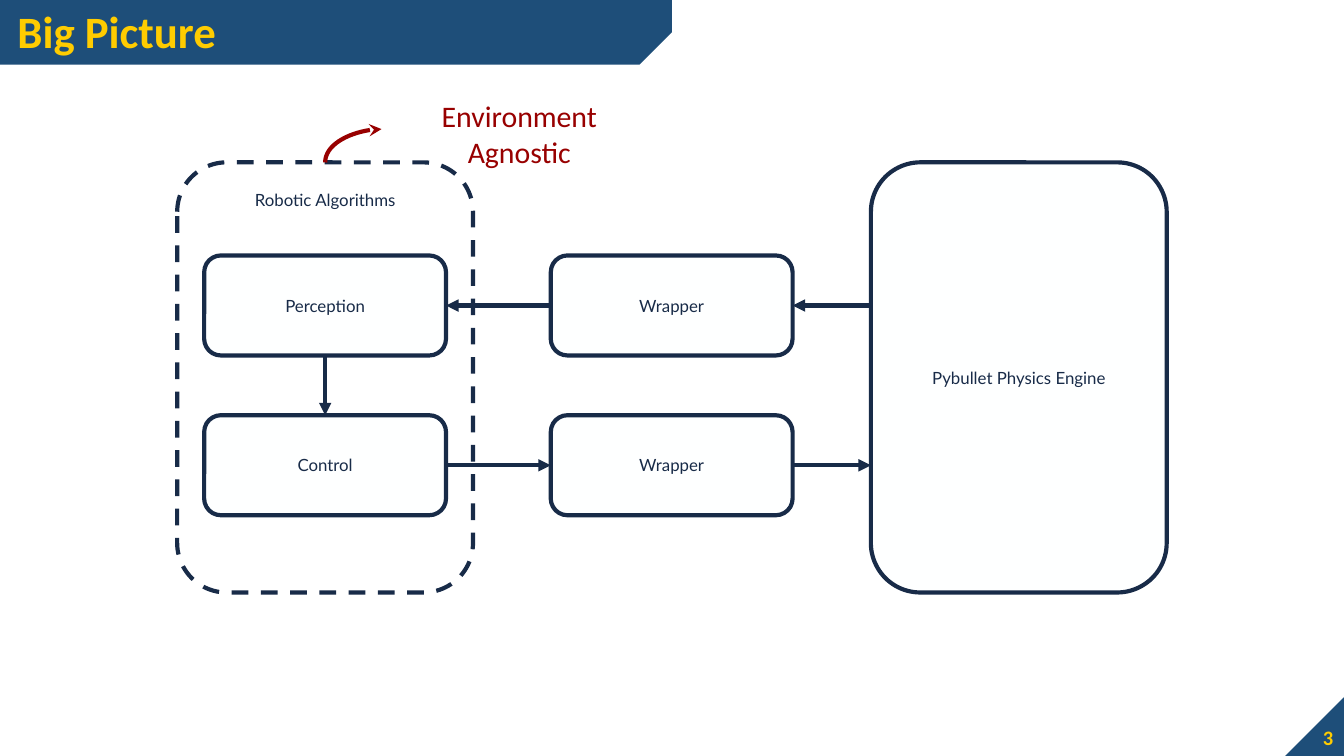
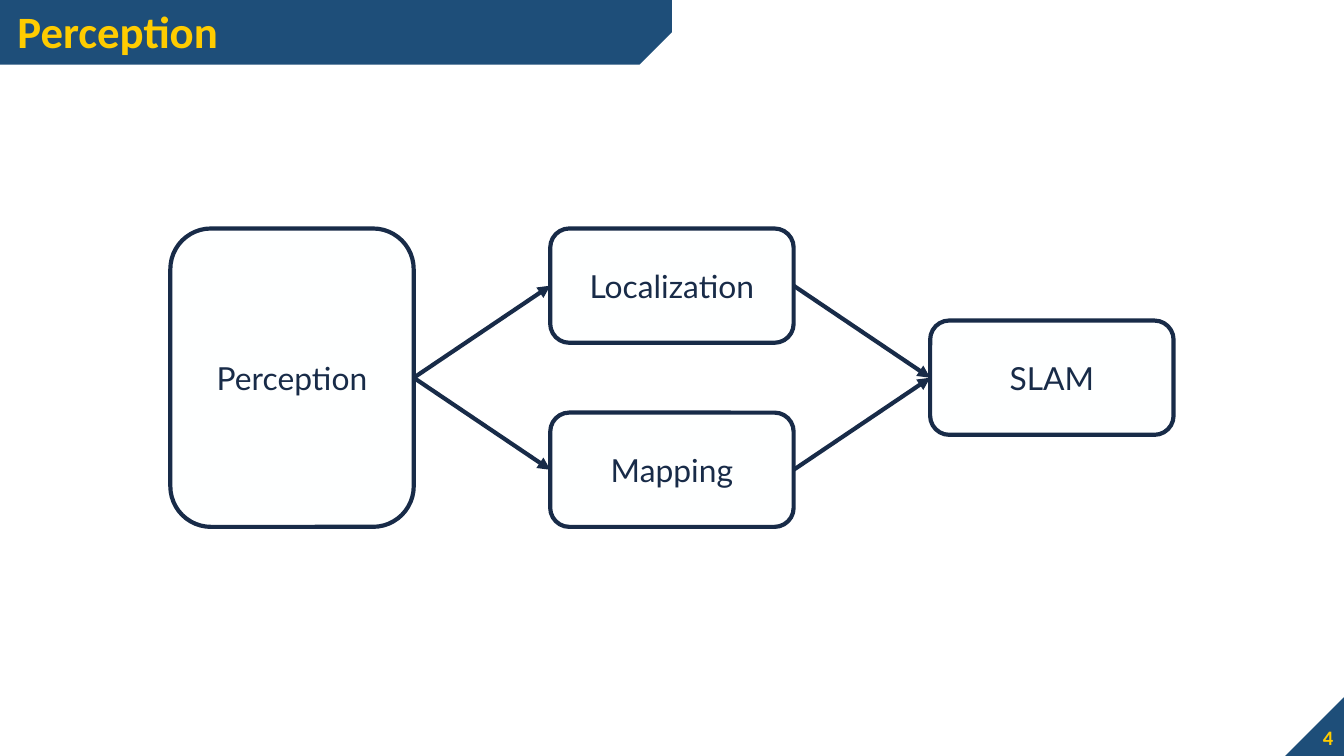
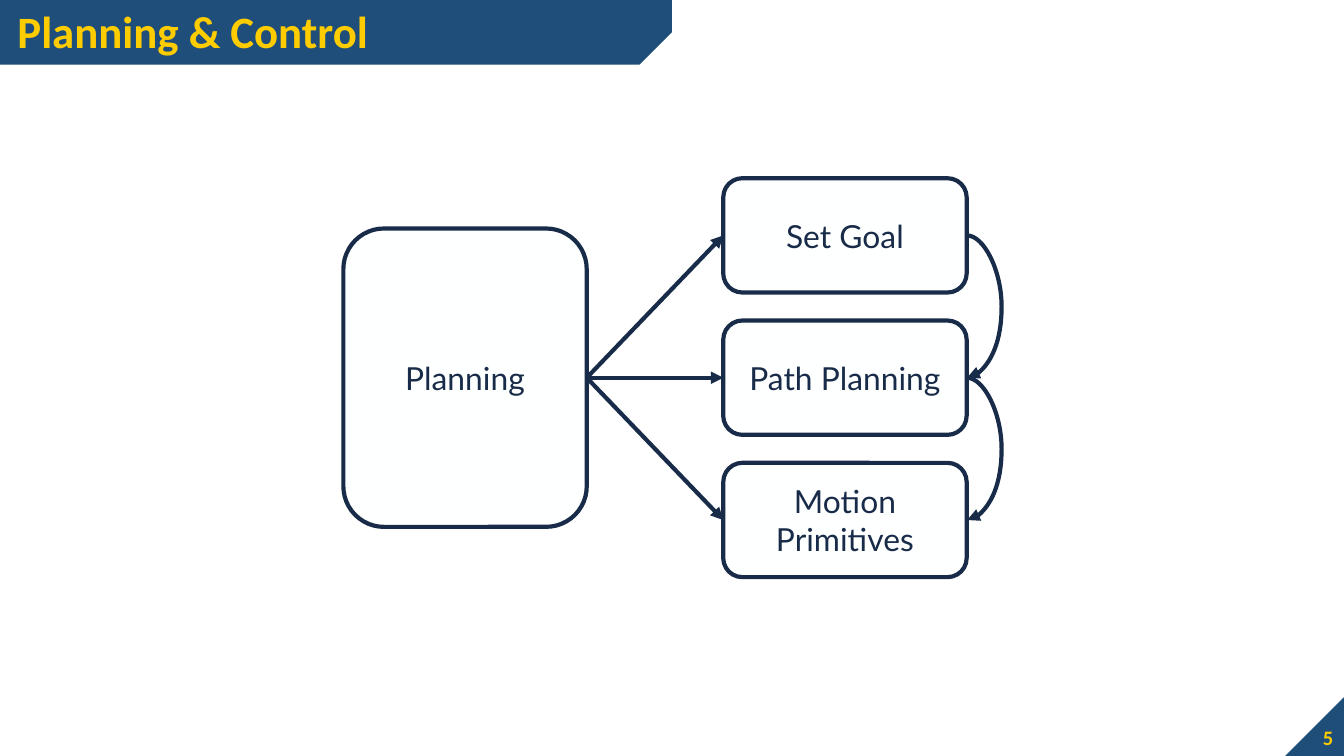
from lxml import etree
from pptx import Presentation
from pptx.dml.color import RGBColor
from pptx.enum.dml import MSO_LINE
from pptx.enum.shapes import MSO_CONNECTOR, MSO_SHAPE
from pptx.enum.text import MSO_ANCHOR, MSO_AUTO_SIZE, PP_ALIGN
from pptx.oxml.ns import qn
from pptx.util import Cm, Pt

ROUND = MSO_SHAPE.ROUNDED_RECTANGLE
SNIP = MSO_SHAPE.SNIP_1_RECTANGLE
WEDGE = MSO_SHAPE.RIGHT_TRIANGLE
STRAIGHT = MSO_CONNECTOR.STRAIGHT
CURVE = MSO_CONNECTOR.CURVE
DASH = MSO_LINE.DASH
TOP = MSO_ANCHOR.TOP
MIDDLE = MSO_ANCHOR.MIDDLE
LEFT = PP_ALIGN.LEFT
CENTER = PP_ALIGN.CENTER
RIGHT = PP_ALIGN.RIGHT
FIXED = MSO_AUTO_SIZE.NONE

NAVY = "182B48"
BLUE = "1E4E79"
GOLD = "FFCC00"
RED = "980000"
PALE = "FEFFFF"
WHITE = "FFFFFF"
BODY = "Lato"
HEAD = "Calibri"

NORTH, WEST, SOUTH, EAST = range(4)
SPOTS = {NORTH: (0.5, 0), WEST: (0, 0.5), SOUTH: (0.5, 1), EAST: (1, 0.5)}

BIG_W, BIG_H = 4.6, 5.64
BOX_H = 2.16
STEP = 7.18
BIG_TOP = 4.32
MID_TOP = 6.06


def color(code):
    return RGBColor.from_string(code)


def write(shape, text, size, font, ink, align, anchor, pad, bold=False):
    frame = shape.text_frame
    frame.word_wrap = True
    frame.auto_size = FIXED
    frame.vertical_anchor = anchor
    frame.margin_left = frame.margin_right = Cm(pad[0])
    frame.margin_top = frame.margin_bottom = Cm(pad[1])
    para = frame.paragraphs[0]
    para.alignment = align
    run = para.add_run()
    run.text = text
    run.font.size = Pt(size)
    run.font.name = font
    run.font.bold = bold
    run.font.color.rgb = color(ink)
    return para


def patch(slide, kind, x, y, w, h, turn):
    shape = slide.shapes.add_shape(kind, Cm(x), Cm(y), Cm(w), Cm(h))
    shape.shadow.inherit = False
    shape.rotation = turn
    shape.fill.solid()
    shape.fill.fore_color.rgb = color(BLUE)
    shape.line.fill.background()
    return shape


def label(slide, x, y, w, h, *style):
    box = slide.shapes.add_textbox(Cm(x), Cm(y), Cm(w), Cm(h))
    write(box, *style)
    return box


def start(deck, name, page):
    slide = deck.slides.add_slide(deck.slide_layouts[5])
    title = slide.shapes.title
    band = patch(slide, SNIP, 0, 0, 12.7, 1.22, 180)
    band.adjustments[0] = 0.5
    band._element.spPr.xfrm.flipH = True
    title._element.addprevious(band._element)
    title.left, title.top = Cm(0.15), Cm(0.15)
    title.width, title.height = Cm(11.94), Cm(0.97)
    pad = (0.18, 0.1)
    para = write(title, name, 24, HEAD, GOLD, LEFT, MIDDLE, pad, True)
    para.line_spacing = 0.9
    patch(slide, WEDGE, 24.26, 13.18, 1.14, 1.14, 270)
    label(slide, 24.54, 13.54, 0.84, 0.79,
          str(page), 11, HEAD, GOLD, RIGHT, MIDDLE, pad, True)
    return slide


def node(slide, text, x, y, w, h, size=17, fill=PALE, anchor=MIDDLE):
    box = slide.shapes.add_shape(ROUND, Cm(x), Cm(y), Cm(w), Cm(h))
    box.shadow.inherit = False
    box.adjustments[0] = 0.167
    box.fill.solid()
    box.fill.fore_color.rgb = color(fill)
    box.line.color.rgb = color(NAVY)
    box.line.width = Pt(2.25)
    write(box, text, size, BODY, NAVY, CENTER, anchor, (0.25, 0.25))
    return box


def wire(slide, x1, y1, x2, y2, kind=STRAIGHT, ink=NAVY, tip="triangle"):
    line = slide.shapes.add_connector(kind, x1, y1, x2, y2)
    line.line.color.rgb = color(ink)
    line.line.width = Pt(2.25)
    tail = etree.SubElement(line.line._get_or_add_ln(), qn("a:tailEnd"))
    tail.set("type", tip)
    etree.SubElement(line._element.spPr, qn("a:effectLst"))
    return line


def spot(box, side):
    fx, fy = SPOTS[side]
    return int(box.left + box.width * fx), int(box.top + box.height * fy)


def link(slide, src, out, dest, side, **style):
    line = wire(slide, *spot(src, out), *spot(dest, side), **style)
    line.begin_connect(src, out)
    line.end_connect(dest, side)
    return line


def loop(slide, src, dest):
    line = link(slide, src, EAST, dest, EAST, kind=CURVE)
    line.width = Cm(0.01)
    geom = line._element.spPr.find(qn("a:prstGeom"))
    guide = etree.SubElement(geom.get_or_add_avLst(), qn("a:gd"))
    guide.set("name", "adj1")
    guide.set("fmla", "val 6600000")


def swing(slide, src, dest):
    line = link(slide, src, NORTH, dest, WEST,
                kind=CURVE, ink=RED, tip="stealth")
    x, y, w, h = line.left, line.top, line.width, line.height
    line.left, line.top = x + (w - h) // 2, y + (h - w) // 2
    line.width, line.height = h, w
    frame = line._element.spPr.xfrm
    frame.flipV = False
    frame.rot = 270
    geom = line._element.spPr.find(qn("a:prstGeom"))
    geom.set("prst", "curvedConnector2")


def scheme(deck):
    slide = start(deck, "Big Picture", 3)
    tall = (3.07, 5.59, 8.13)
    engine = node(slide, "Pybullet Physics Engine", 16.46, *tall, 9)
    robot = node(slide, "Robotic Algorithms", 3.35, *tall, 9, WHITE, TOP)
    robot.line.dash_style = DASH
    sense, steer, inlet, outlet = [
        node(slide, text, x, y, 4.57, 1.89, 9)
        for text, x, y in (("Perception", 3.86, 4.83),
                           ("Control", 3.86, 7.85),
                           ("Wrapper", 10.41, 4.83),
                           ("Wrapper", 10.41, 7.85))]
    link(slide, steer, EAST, outlet, WEST)
    x, y = spot(outlet, EAST)
    wire(slide, x, y, engine.left, y).begin_connect(outlet, EAST)
    x, y = spot(inlet, EAST)
    wire(slide, engine.left, y, x, y).end_connect(inlet, EAST)
    link(slide, inlet, WEST, sense, EAST)
    link(slide, sense, SOUTH, steer, NORTH)
    note = label(slide, 7.21, 1.6, 5.21, 1.68, "Environment Agnostic",
                 16, HEAD, RED, CENTER, TOP, (0.25, 0.25))
    swing(slide, robot, note)


def sensing(deck):
    slide = start(deck, "Perception", 4)
    x = 3.22
    root = node(slide, "Perception", x, BIG_TOP, BIG_W, BIG_H)
    low = BIG_TOP + BIG_H - BOX_H
    parts = [node(slide, text, x + STEP, y, BIG_W, BOX_H)
             for text, y in (("Localization", BIG_TOP), ("Mapping", low))]
    goal = node(slide, "SLAM", x + 2 * STEP, MID_TOP, BIG_W, BOX_H)
    for part in parts:
        link(slide, root, EAST, part, WEST)
        link(slide, part, EAST, goal, WEST)


def planning(deck):
    slide = start(deck, "Planning & Control", 5)
    x = 6.49
    root = node(slide, "Planning", x, BIG_TOP, BIG_W, BIG_H)
    names = ("Set Goal", "Path Planning", "Motion Primitives")
    steps = [node(slide, text, x + STEP, MID_TOP + 2.69 * (i - 1),
                  BIG_W, BOX_H)
             for i, text in enumerate(names)]
    for step in steps:
        link(slide, root, EAST, step, WEST)
    for src, dest in zip(steps, steps[1:]):
        loop(slide, src, dest)


def main():
    deck = Presentation()
    deck.slide_width, deck.slide_height = Cm(25.4), Cm(14.29)
    scheme(deck)
    sensing(deck)
    planning(deck)
    deck.save("out.pptx")


if __name__ == "__main__":
    main()
